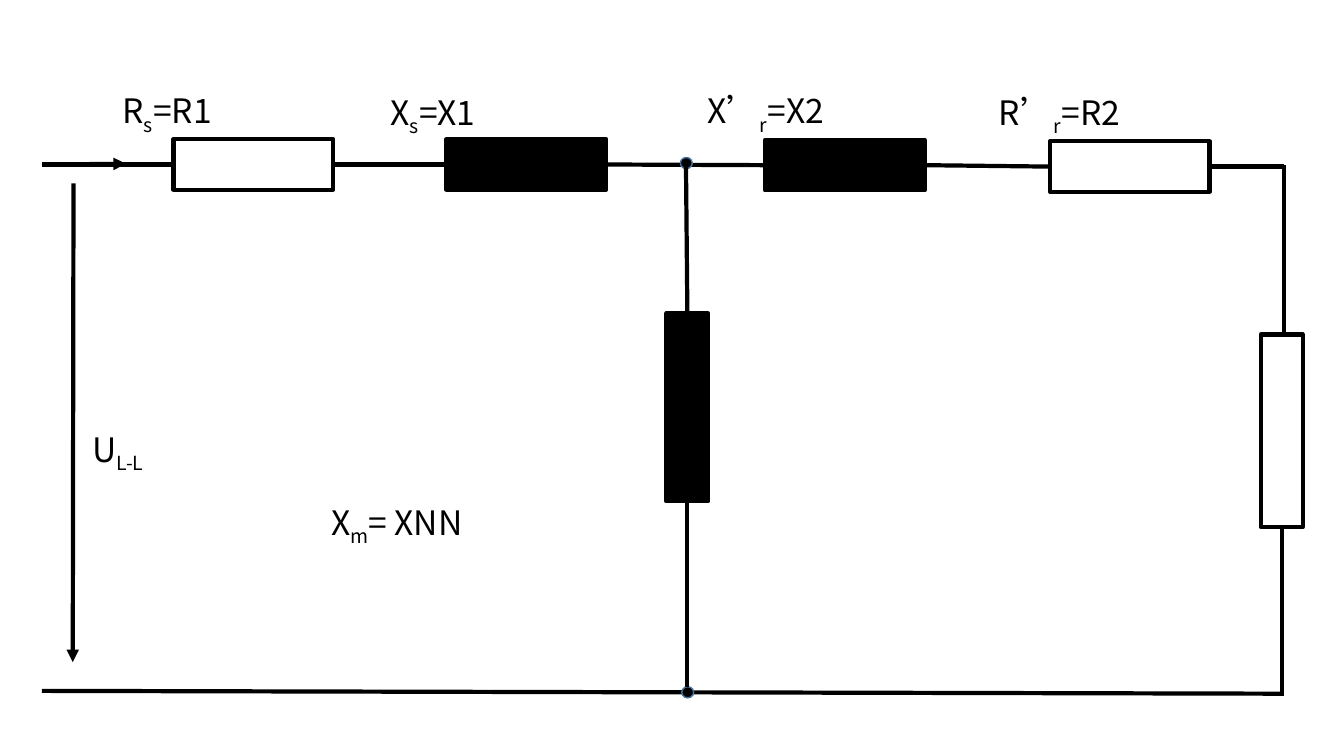
"""Build a slide with the equivalent circuit of an induction motor."""
from lxml import etree
from pptx import Presentation
from pptx.dml.color import RGBColor
from pptx.enum.shapes import MSO_CONNECTOR, MSO_SHAPE
from pptx.enum.text import MSO_AUTO_SIZE
from pptx.oxml.ns import qn
from pptx.util import Pt

BLACK = RGBColor(0x00, 0x00, 0x00)
NODE_EDGE = RGBColor(0x43, 0x73, 0x9E)
FONT = "Noto Sans CJK SC"
STRAIGHT = MSO_CONNECTOR.STRAIGHT
RECTANGLE, OVAL = MSO_SHAPE.RECTANGLE, MSO_SHAPE.OVAL
GROW = MSO_AUTO_SIZE.SHAPE_TO_FIT_TEXT
TOP, LEFT, BOTTOM, RIGHT = range(4)
WIDE = (114, 36)


def add_part(s, kind, left, top, size, filled, edge=BLACK, weight=3):
    """Add a circuit element, filled black or left open."""
    sp = s.shapes.add_shape(kind, Pt(left), Pt(top), *map(Pt, size))
    sp.shadow.inherit = False
    if filled:
        sp.fill.solid()
        sp.fill.fore_color.rgb = BLACK
    else:
        sp.fill.background()
    sp.line.color.rgb = edge
    sp.line.width = Pt(weight)
    return sp


def add_node(s, left, top):
    """Add a junction dot."""
    add_part(s, OVAL, left, top, (8.5, 8), True, NODE_EDGE, 1)


def add_wire(s, start, end, arrow=False):
    """Add a wire; each end is a point or a (shape, side) pair."""
    wire = s.shapes.add_connector(STRAIGHT, 0, 0, 0, 0)
    wire.begin_x, wire.begin_y, wire.end_x, wire.end_y = [
        Pt(v) if isinstance(a, (int, float)) else 0
        for a, v in ((end_pt[0], x) for end_pt in (start, end) for x in end_pt)]
    if not isinstance(start[0], (int, float)):
        wire.begin_connect(*start)
    if not isinstance(end[0], (int, float)):
        wire.end_connect(*end)
    wire.line.color.rgb = BLACK
    wire.line.width = Pt(3)
    if arrow:
        etree.SubElement(wire.line._get_or_add_ln(), qn("a:tailEnd"), type="triangle")
    etree.SubElement(wire._element.spPr, qn("a:effectLst"))


def add_label(s, left, top, width, symbol, index, value=""):
    """Add a quantity label with a subscript index."""
    tf = s.shapes.add_textbox(Pt(left), Pt(top), Pt(width), Pt(36)).text_frame
    tf.word_wrap = True
    tf.auto_size = GROW
    p = tf.paragraphs[0]
    for text in filter(None, (symbol, index, value)):
        r = p.add_run()
        r.text = text
        r.font.size = Pt(24)
        r.font.name = FONT
        r.font.color.rgb = BLACK
        rpr = r.font._element
        etree.SubElement(rpr, qn("a:ea"), typeface=FONT)
        if text == index:
            rpr.set("baseline", "-25000")


def main():
    """Draw the circuit and save the file."""
    prs = Presentation()
    prs.slide_width, prs.slide_height = Pt(960), Pt(540)
    s = prs.slides.add_slide(prs.slide_layouts[6])

    stator_r = add_part(s, RECTANGLE, 124, 99.5, WIDE, False)
    stator_x = add_part(s, RECTANGLE, 319, 99.5, WIDE, True)
    rotor_x = add_part(s, RECTANGLE, 546.5, 100, WIDE, True)
    rotor_r = add_part(s, RECTANGLE, 750, 101, WIDE, False)
    magnetizing = add_part(s, RECTANGLE, 476, 224, (30, 134), True)
    load = add_part(s, RECTANGLE, 900.5, 239, (30, 137.5), False)

    series = [stator_r, stator_x, rotor_x, rotor_r]
    for before, after in zip(series, series[1:]):
        add_wire(s, (before, RIGHT), (after, LEFT))
    add_wire(s, (30, 117.5), (stator_r, LEFT))
    add_wire(s, (rotor_r, RIGHT), (917, 119))
    add_wire(s, (917, 118), (917, 239))
    add_wire(s, (load, BOTTOM), (915.5, 495.5))
    add_wire(s, (30, 493.5), (917, 495.5))
    add_node(s, 486, 112.5)
    add_node(s, 487, 490.5)
    add_wire(s, (490, 119), (magnetizing, TOP))
    add_wire(s, (magnetizing, BOTTOM), (491, 490.5))
    add_wire(s, (31.5, 117.5), (90, 117), arrow=True)
    add_wire(s, (52.5, 131), (52, 473), arrow=True)

    add_label(s, 80.5, 61, 201, "R", "s", "=R1")
    add_label(s, 272, 62, 227.5, "X", "s", "=X1")
    add_label(s, 498, 61, 214.5, "X’", "r", "=X2")
    add_label(s, 706.5, 62, 216.5, "R’", "r", "=R2")
    add_label(s, 59, 302.5, 93.5, "U", "L-L")
    add_label(s, 229.5, 355, 292, "X", "m", "= XNN")
    prs.save("out.pptx")


if __name__ == "__main__":
    main()
